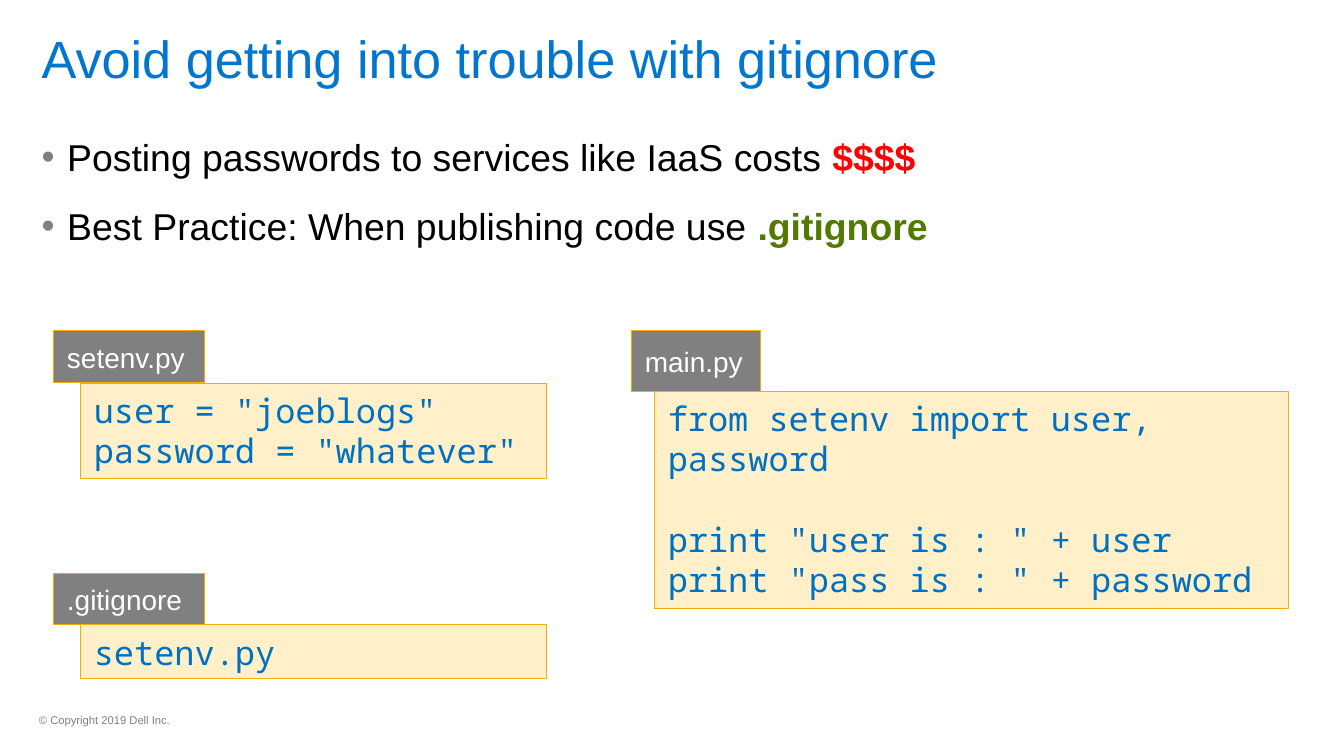
from lxml import etree
from pptx import Presentation
from pptx import util as u
from pptx.dml.color import RGBColor
from pptx.enum import shapes, text
from pptx.oxml.ns import qn

BLUE = RGBColor(0x00, 0x76, 0xCE)
CODE_BLUE = RGBColor(0x00, 0x70, 0xC0)
GREY = RGBColor(0x80, 0x80, 0x80)
CREAM = RGBColor(0xFF, 0xF0, 0xC9)
AMBER = RGBColor(0xF2, 0xAF, 0x00)
RED = RGBColor(0xFF, 0x00, 0x00)
GREEN = RGBColor(0x52, 0x7A, 0x03)
BLACK = RGBColor(0x00, 0x00, 0x00)
WHITE = RGBColor(0xFF, 0xFF, 0xFF)

BODY_FONT, CODE_FONT = "Arial", "Noto Sans Mono"
CODE_LINE = 21.7  # height of one code line, in points


def cells(*counts):
    """Turn grid counts into lengths; a grid cell is a tenth of an inch."""
    return [u.Inches(count / 10) for count in counts]


class Deck:
    def __init__(self):
        self.prs = Presentation()
        self.prs.slide_width, self.prs.slide_height = cells(100, 56.25)
        self.slide = self.prs.slides.add_slide(self.prs.slide_layouts[5])

    def frame(self, shape, anchor=text.MSO_ANCHOR.TOP, inset=(0, 0), wrap=True):
        frame = shape.text_frame
        frame.word_wrap = wrap
        frame.auto_size = text.MSO_AUTO_SIZE.NONE
        frame.vertical_anchor = anchor
        frame.margin_left = frame.margin_right = u.Inches(inset[0])
        frame.margin_top = frame.margin_bottom = u.Inches(inset[1])
        return frame

    def run(self, paragraph, words, size, color, font=BODY_FONT, bold=False):
        run = paragraph.add_run()
        run.text = words
        run.font.name, run.font.size, run.font.bold = font, u.Pt(size), bold
        run.font.color.rgb = color

    def paragraph(self, frame, index):
        paragraph = frame.add_paragraph() if index else frame.paragraphs[0]
        paragraph.alignment = text.PP_ALIGN.LEFT
        return paragraph

    def title(self, words):
        title = self.slide.shapes.title
        title.left, title.top, title.width, title.height = cells(3.1, 2.5, 93.8, 4.2)
        heading = self.paragraph(self.frame(title), 0)
        heading.line_spacing = 0.9
        self.run(heading, words, 28, BLUE)

    def bullets(self, points):
        body = self.slide.shapes.add_textbox(*cells(3.1, 10, 93.8, 36))
        frame = self.frame(body)
        for index, (lead, stress, color) in enumerate(points):
            point = self.paragraph(frame, index)
            if index:
                point.space_before = u.Pt(13)
            props = point._p.get_or_add_pPr()
            indent = u.Inches(0.19)
            props.set("marL", str(indent))
            props.set("indent", str(-indent))
            bullet_color = etree.SubElement(props, qn("a:buClr"))
            etree.SubElement(bullet_color, qn("a:srgbClr"), val=str(GREY))
            etree.SubElement(props, qn("a:buFont"), typeface=BODY_FONT)
            etree.SubElement(props, qn("a:buChar"), char="•")
            self.run(point, lead, 20, BLACK)
            self.run(point, stress, 20, color, bold=True)

    def panel(self, place, fill, anchor):
        panel = self.slide.shapes.add_shape(shapes.MSO_SHAPE.RECTANGLE, *cells(*place))
        panel.shadow.inherit = False
        panel.fill.solid()
        panel.fill.fore_color.rgb = fill
        panel.line.color.rgb = AMBER
        panel.line.width = u.Pt(0.5)
        return self.frame(panel, anchor, (0.1, 0.05))

    def listing(self, name, blocks, tab, code_size, indent):
        """Draw a file-name tab with its code below; blocks are a line apart."""
        left, top, _, tab_height = tab
        code = self.panel((left + indent, top + tab_height, *code_size),
                          CREAM, text.MSO_ANCHOR.TOP)
        index = 0
        for block in blocks:
            for row, line in enumerate(block):
                paragraph = self.paragraph(code, index)
                if index and row == 0:
                    paragraph.space_before = u.Pt(CODE_LINE)
                self.run(paragraph, line, 18, CODE_BLUE, CODE_FONT)
                index += 1
        label = self.panel(tab, GREY, text.MSO_ANCHOR.MIDDLE)
        self.run(self.paragraph(label, 0), name, 15, WHITE)

    def footer(self, words):
        footer = self.slide.shapes.add_textbox(*cells(2.9, 53.2, 9.9, 0.9))
        frame = self.frame(footer, text.MSO_ANCHOR.MIDDLE, wrap=False)
        line = self.paragraph(frame, 0)
        line.line_spacing = 0.9
        self.run(line, words, 6, GREY)


def main():
    deck = Deck()
    deck.footer("© Copyright 2019 Dell Inc.")
    deck.title("Avoid getting into trouble with gitignore")
    deck.bullets([
        ("Posting passwords to services like IaaS costs ", "$$$$", RED),
        ("Best Practice: When publishing code use ", ".gitignore", GREEN),
    ])
    deck.listing(".gitignore", [["setenv.py"]],
                 (4, 42.7, 11.2, 3.8), (34.7, 4), indent=2)
    deck.listing("setenv.py", [['user = "joeblogs"', 'password = "whatever"']],
                 (4, 24.6, 11.2, 3.9), (34.7, 7.1), indent=2)
    deck.listing("main.py",
                 [["from setenv import user, password"],
                  ['print "user is : " + user', 'print "pass is : " + password']],
                 (47, 24.6, 9.6, 4.5), (47.2, 16.2), indent=1.7)
    deck.prs.save("out.pptx")


if __name__ == "__main__":
    main()
